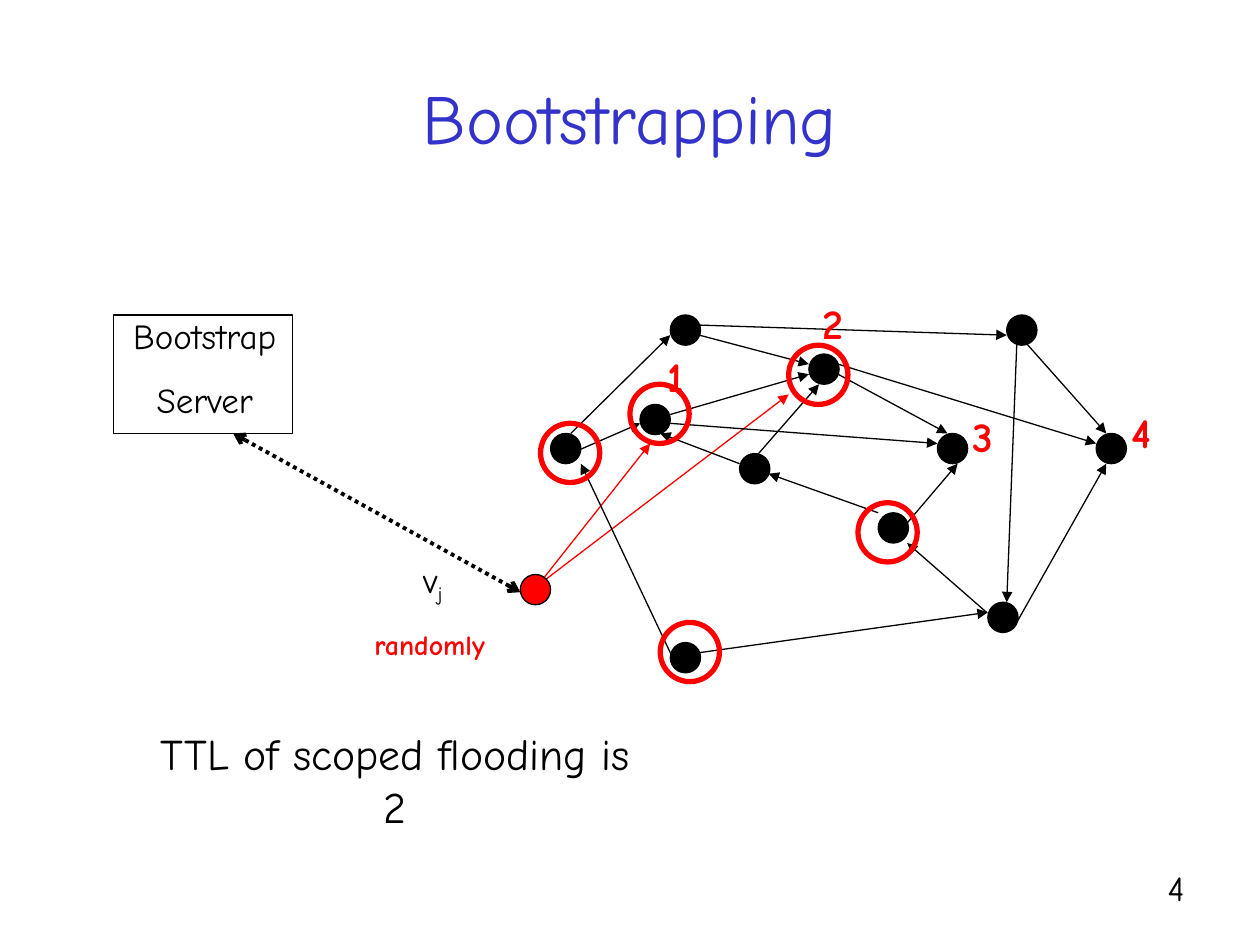
"""Build the Bootstrapping slide: a server, a peer graph and a joining node."""
import dataclasses
import typing

import pptx
import pptx.dml.color
import pptx.enum.dml
import pptx.enum.shapes
import pptx.enum.text
import pptx.oxml
import pptx.oxml.ns
import pptx.util

Inches = pptx.util.Inches
Pt = pptx.util.Pt
Color = pptx.dml.color.RGBColor
Align = pptx.enum.text.PP_ALIGN
Anchor = pptx.enum.text.MSO_ANCHOR
Shape = pptx.enum.shapes.MSO_SHAPE
Point = tuple[float, float]


@dataclasses.dataclass(frozen=True)
class Theme:
    font: str = "Comic Neue"
    black: Color = Color(0x00, 0x00, 0x00)
    red: Color = Color(0xFF, 0x00, 0x00)
    blue: Color = Color(0x33, 0x33, 0xCC)
    title: int = 40
    note: int = 25
    count: int = 24
    body: int = 20
    small: int = 16
    thin: float = 0.75
    thick: float = 2.25
    ring: float = 3


THEME = Theme()
DOT = 0.24
RING = 0.47


@dataclasses.dataclass(frozen=True)
class Label:
    lines: tuple[str, ...]
    left: float
    top: float
    width: float
    height: float
    size: int = THEME.body
    color: Color = THEME.black
    bold: bool = False
    wrap: bool = True
    align: Align = Align.CENTER
    anchor: Anchor = Anchor.TOP
    gap: float = 0
    sub: str = ""


@dataclasses.dataclass(frozen=True)
class Arrow:
    start: Point
    end: Point
    color: Color = THEME.black
    width: float = THEME.thin
    tip: str = "triangle"
    both: bool = False
    dash: typing.Optional[pptx.enum.dml.MSO_LINE] = None


def apply(target: typing.Any, values: dict[str, typing.Any]) -> None:
    for name, value in values.items():
        setattr(target, name, value)


def draw_shape(slide: typing.Any, kind: Shape, left: float, top: float, width: float,
               height: float, fill: typing.Optional[Color] = None,
               edge: Color = THEME.black, weight: float = THEME.thin) -> None:
    shape = slide.shapes.add_shape(kind, Inches(left), Inches(top), Inches(width), Inches(height))
    shape.shadow.inherit = False
    if fill is None:
        shape.fill.background()
    else:
        shape.fill.solid()
        shape.fill.fore_color.rgb = fill
    shape.line.color.rgb = edge
    shape.line.width = Pt(weight)


def draw_round(slide: typing.Any, spots: tuple[Point, ...], size: float,
               **look: typing.Any) -> None:
    for left, top in spots:
        draw_shape(slide, Shape.OVAL, left, top, size, size, **look)


def draw_arrow(slide: typing.Any, arrow: Arrow) -> None:
    ends = [Inches(value) for value in (*arrow.start, *arrow.end)]
    link = slide.shapes.add_connector(pptx.enum.shapes.MSO_CONNECTOR.STRAIGHT, *ends)
    link.line.color.rgb = arrow.color
    link.line.width = Pt(arrow.width)
    if arrow.dash is not None:
        link.line.dash_style = arrow.dash
    line = link.line._get_or_add_ln()
    for tag in ("a:headEnd", "a:tailEnd") if arrow.both else ("a:tailEnd",):
        tip = pptx.oxml.xmlchemy.OxmlElement(tag)
        tip.set("type", arrow.tip)
        line.append(tip)
    link._element.spPr.append(pptx.oxml.xmlchemy.OxmlElement("a:effectLst"))


def draw_label(slide: typing.Any, label: Label) -> None:
    box = slide.shapes.add_textbox(Inches(label.left), Inches(label.top),
                                   Inches(label.width), Inches(label.height))
    frame = box.text_frame
    apply(frame, {"word_wrap": label.wrap, "vertical_anchor": label.anchor})
    for index, words in enumerate(label.lines):
        para = frame.add_paragraph() if index else frame.paragraphs[0]
        para.alignment = label.align
        if index:
            para.space_before = Pt(label.gap)
        for text in filter(None, (words, label.sub)):
            run = para.add_run()
            run.text = text
            apply(run.font, {"name": THEME.font, "size": Pt(label.size), "bold": label.bold})
            run.font.color.rgb = label.color
            if text == label.sub:
                run._r.get_or_add_rPr().set("baseline", "-25000")


NODES = (
    (5.08, 3.21), (5.87, 3.6), (6.97, 4.07), (5.32, 5.1), (5.32, 2.5), (6.42, 2.81),
    (7.44, 3.44), (7.84, 4.78), (8.7, 3.44), (7.99, 2.5), (4.37, 3.44),
)
RINGS = ((4.29, 3.36), (5, 3.05), (6.26, 2.74), (5.24, 4.94), (6.81, 3.99))
JOINS = (((4.29, 4.62), (5.16, 3.52)), ((4.29, 4.63), (6.26, 3.13)))
EDGES = (
    ((4.53, 3.44), (5.32, 2.66)), ((4.53, 3.6), (5.08, 3.36)),
    ((5.32, 3.29), (6.42, 2.97)), ((5.32, 3.36), (7.44, 3.52)),
    ((5.55, 5.18), (7.84, 4.86)), ((7.2, 4.15), (7.6, 3.68)),
    ((6.97, 4.07), (6.1, 3.76)), ((5.55, 2.66), (6.42, 2.89)),
    ((5.55, 2.58), (7.99, 2.66)), ((6.02, 3.6), (6.5, 3.05)),
    ((5.87, 3.68), (5.24, 3.44)), ((5.32, 5.18), (4.61, 3.68)),
    ((6.65, 2.97), (7.52, 3.44)), ((6.65, 2.89), (8.7, 3.52)),
    ((8.15, 2.73), (8.78, 3.44)), ((8.07, 2.73), (7.99, 4.78)),
    ((7.83, 4.86), (7.2, 4.31)), ((8.07, 4.94), (8.78, 3.68)),
)
COUNTS = (("1", 5.19, 2.73), ("2", 6.43, 2.31), ("3", 7.62, 3.21), ("4", 8.88, 3.18))
LABELS = (
    Label(("Bootstrapping",), 0, 0.3, 10, 1.25, THEME.title, THEME.blue, anchor=Anchor.MIDDLE),
    Label(("Bootstrap", "Server"), 0.78, 2.45, 1.69, 0.94, gap=12.5),
    Label(("TTL of scoped flooding is 2",), 1.03, 5.72, 4.21, 0.52, THEME.note),
    *(Label((text,), left, top, 0.35, 0.5, THEME.count, THEME.red, bold=True, wrap=False)
      for text, left, top in COUNTS),
    Label(("randomly",), 2.87, 4.93, 1.08, 0.37, THEME.small, THEME.red, bold=True, wrap=False),
    Label(("v",), 3.01, 4.38, 0.85, 0.48, sub="j"),
    Label(("4",), 7.17, 6.83, 2.33, 0.52, align=Align.RIGHT),
)


def main() -> None:
    deck = pptx.Presentation()
    apply(deck, {"slide_width": Inches(10), "slide_height": Inches(7.5)})
    slide = deck.slides.add_slide(deck.slide_layouts[6])
    draw_round(slide, NODES, DOT, fill=THEME.black)
    for start, end in JOINS:
        draw_arrow(slide, Arrow(start, end, THEME.red))
    for start, end in EDGES:
        draw_arrow(slide, Arrow(start, end))
    draw_shape(slide, Shape.RECTANGLE, 0.9, 2.5, 1.42, 0.94)
    draw_round(slide, RINGS, RING, edge=THEME.red, weight=THEME.ring)
    draw_arrow(slide, Arrow((4.13, 4.7), (1.85, 3.44), width=THEME.thick, tip="arrow",
                            both=True, dash=pptx.enum.dml.MSO_LINE.ROUND_DOT))
    draw_round(slide, ((4.13, 4.56),), DOT, fill=THEME.red)
    for label in LABELS:
        draw_label(slide, label)
    deck.save("out.pptx")


if __name__ == "__main__":
    main()
